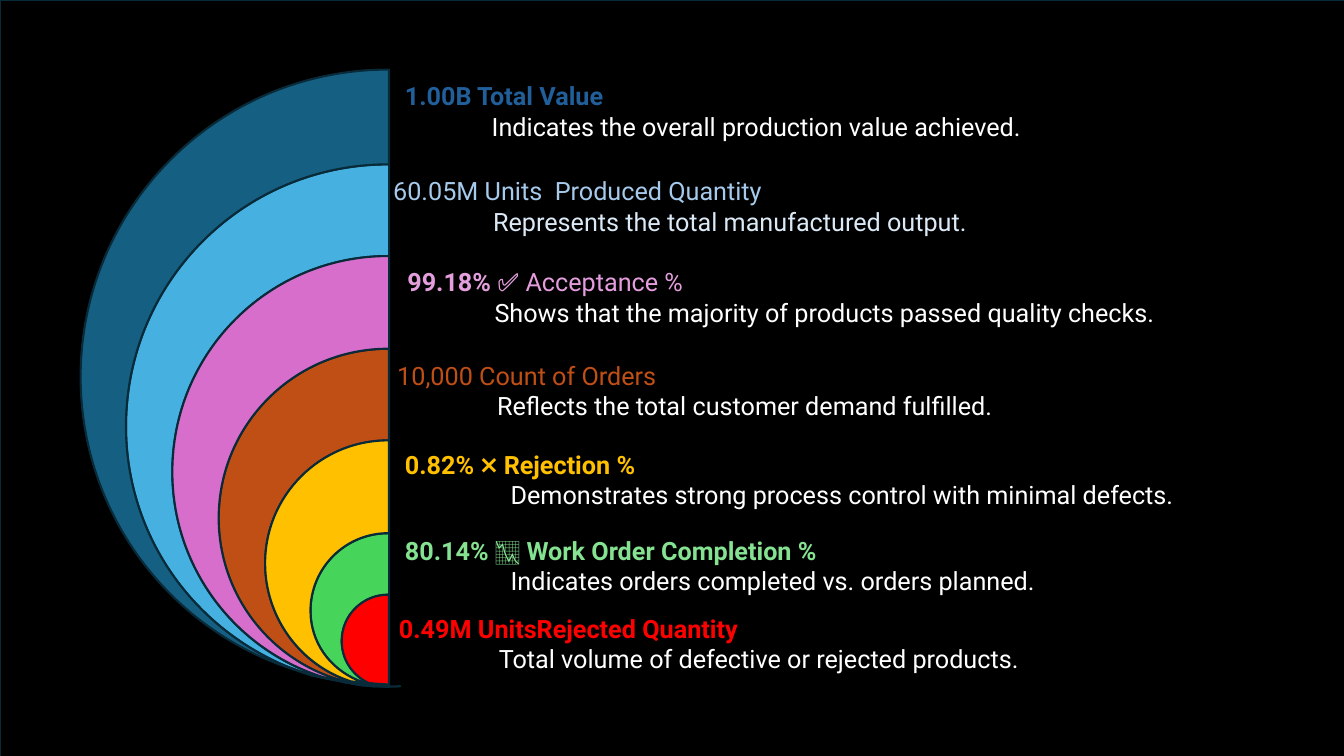
from math import acos, cos, pi, sin, tan

from pptx import Presentation
from pptx.dml.color import RGBColor
from pptx.enum.shapes import MSO_SHAPE as Shape
from pptx.enum.text import MSO_AUTO_SIZE as AutoSize
from pptx.oxml.ns import qn
from pptx.util import Pt

AXIS, EDGE, BASE = 277.2, 277.9, 490.3
QUARTER = 4 / 3 * tan(pi / 8)


def rgb(value):
    return RGBColor.from_string(value)


def paint(shape, fill):
    shape.shadow.inherit = False
    shape.fill.solid()
    shape.fill.fore_color.rgb = rgb(fill)
    shape.line.color.rgb = rgb("092A39")
    shape.line.width = Pt(1.5)


deck = Presentation()
deck.slide_width, deck.slide_height = Pt(960), Pt(540)
slide = deck.slides.add_slide(deck.slide_layouts[6])
shapes = slide.shapes

backdrop = shapes.add_shape(Shape.RECTANGLE, Pt(0), Pt(0), Pt(960.5), Pt(542))
paint(backdrop, "000000")

discs = [
    (49.7, 219.6, (211.7, 478.8), "156082", [(216, 480.2)]),
    (117.4, 187.2, (204.5, 475.9), "46B1E1",
     [(236.9, 485.3), (232.6, 484.6), (216, 480.2)]),
    (182.9, 154.1, (231.1, 483.8), "D86ECC", [(247, 486.7), (236.9, 485.3)]),
    (249.1, 121, (241.2, 485.3), "C04F15",
     [(255.6, 487.4), (254.2, 487.4), (247, 486.7)]),
    (314.6, 87.8, (250.6, 486.7), "FFC000", [(262.1, 488.2), (255.6, 487.4)]),
    (380.9, 55.4, (255.6, 486), "47D45A", [(265.7, 488.2), (262.1, 488.2)]),
    (424.8, 33.1, (264.2, 488.2), "FF0000",
     [(EDGE, 488.9), (AXIS, 488.9), (265.7, 488.2)]),
]

arcs = []
for top, radius, tail, colour, tips in discs:
    middle, left = top + radius, AXIS - radius
    sweep = acos((AXIS - tail[0]) / radius)
    pull = 4 / 3 * tan(sweep / 4) * radius
    arcs.append([
        (AXIS, top),
        (AXIS - QUARTER * radius, top),
        (left, middle - QUARTER * radius),
        (left, middle),
        (left, middle + pull),
        (tail[0] - pull * sin(sweep), tail[1] - pull * cos(sweep)),
        tail,
    ])

bands = []
for index, (top, radius, tail, colour, tips) in enumerate(discs):
    segments = [[(EDGE, top)]]
    if index + 1 < len(discs):
        inner = arcs[index + 1]
        segments += [[(EDGE, inner[0][1])], [inner[0]], inner[1:4], inner[4:]]
    segments += [[tip] for tip in tips]
    outer = arcs[index][::-1]
    segments += [[tail], outer[1:4], outer[4:]]
    bands.append((arcs[index][0], segments, colour))

lower_slivers = [
    [(236.9, 485.3), (247, 486.7), (252.7, 488.2), (265, 489.6), (261.4, 489.6),
     (246.2, 487.4)],
    [(255.6, 487.4), (262.1, 488.2), (265.7, 489.6), (AXIS, BASE), (267.8, BASE),
     (259.2, 488.9)],
    [(265.7, 488.2), (AXIS, 488.9), (EDGE, 488.9), (EDGE, BASE), (AXIS, BASE),
     (270, 489.6)],
    [(265, 489.9), (267.8, 490.2), (267.8, BASE), (265, 490)],
    [(285.8, 490.2), (285.8, BASE), (EDGE, 490.5), (EDGE, BASE)],
    [(EDGE, BASE), (EDGE, 490.4), (AXIS, BASE)],
]
upper_slivers = [
    [(216, 480.2), (232.6, 484.6), (236.9, 485.3), (246.2, 487.4), (261.4, 489.6),
     (265, 489.6), (267.8, BASE), (257.8, 489.6), (221.8, 482.4)],
    [(262.1, 488.2), (265.7, 488.2), (270, 489.6), (AXIS, BASE), (265.7, 489.6)],
    [(267.8, 490), (AXIS, BASE), (AXIS, 490.4), (267.8, 490.1)],
    [(267.8, 490), (AXIS, 490.4), (AXIS, 490.5), (267.8, 490.1)],
    [(EDGE, BASE), (EDGE, 490.4), (AXIS, 490.4), (AXIS, BASE)],
]
lower, upper = [
    [(corners[0], [[corner] for corner in corners[1:]], "156082") for corners in group]
    for group in (lower_slivers, upper_slivers)
]

for start, segments, colour in bands[1::2] + lower + bands[::2] + upper:
    builder = shapes.build_freeform(Pt(start[0]), Pt(start[1]))
    builder.add_line_segments(
        [(Pt(x), Pt(y)) for segment in segments for x, y in segment], close=True)
    piece = builder.convert_to_shape()
    strokes = iter(list(piece._element.iter(qn("a:lnTo"))))
    for segment in segments:
        stroke = next(strokes)
        if len(segment) == 3:
            stroke.tag = qn("a:cubicBezTo")
            for control in (next(strokes), next(strokes)):
                stroke.append(control[0])
                control.getparent().remove(control)
    paint(piece, colour)

metrics = [
    (282.2, 54, 512, 72.7, "215F9A", [("1.00B Total Value", True)],
     62, "FFFFFF", "Indicates the overall production value achieved."),
    (283.9, 186.9, 604, 51, "E59EDD", [("99.18%", True), (" ✅ Acceptance %", False)],
     62.3, "FFFFFF", "Shows that the majority of products passed quality checks."),
    (276.7, 253.9, 512, 72.7, "C04F15", [("10,000 Count of Orders", False)],
     71.3, "FFFFFF", "Reflects the total customer demand fulfilled."),
    (282.2, 317.5, 565, 72.7, "FFC000",
     [("0.82%", True), (" ❌ ", False), ("Rejection %", True)],
     75.5, "FFFFFF", "Demonstrates strong process control with minimal defects."),
    (282.2, 378.7, 512, 51, "84E291",
     [("80.14%", True), (" 📉 ", False), ("Work Order Completion %", True)],
     75.5, "FFFFFF", "Indicates orders completed vs. orders planned."),
    (277.9, 434.6, 512, 72.7, "FF0000", [("0.49M UnitsRejected Quantity", True)],
     71.3, "FFFFFF", "Total volume of defective or rejected products."),
    (273.8, 121.9, 512, 72.7, "A6CAEC", [("60.05M Units  Produced Quantity", False)],
     71.3, "DCEAF7", "Represents the total manufactured output."),
]
for left, top, width, height, accent, heading, indent, tint, meaning in metrics:
    frame = shapes.add_textbox(Pt(left), Pt(top), Pt(width), Pt(height)).text_frame
    frame.word_wrap = True
    frame.auto_size = AutoSize.SHAPE_TO_FIT_TEXT
    headline, description = frame.paragraphs[0], frame.add_paragraph()
    for paragraph, colour in ((headline, accent), (description, tint)):
        paragraph.font.name = "Roboto"
        paragraph.font.size = Pt(18)
        paragraph.font.color.rgb = rgb(colour)
    for wording, bold in heading:
        run = headline.add_run()
        run.text = wording
        if len(heading) > 1:
            run.font.bold = bold
        else:
            headline.font.bold = bold
    description.add_run().text = meaning
    description._p.get_or_add_pPr().set("marL", str(Pt(indent)))

deck.save("out.pptx")
